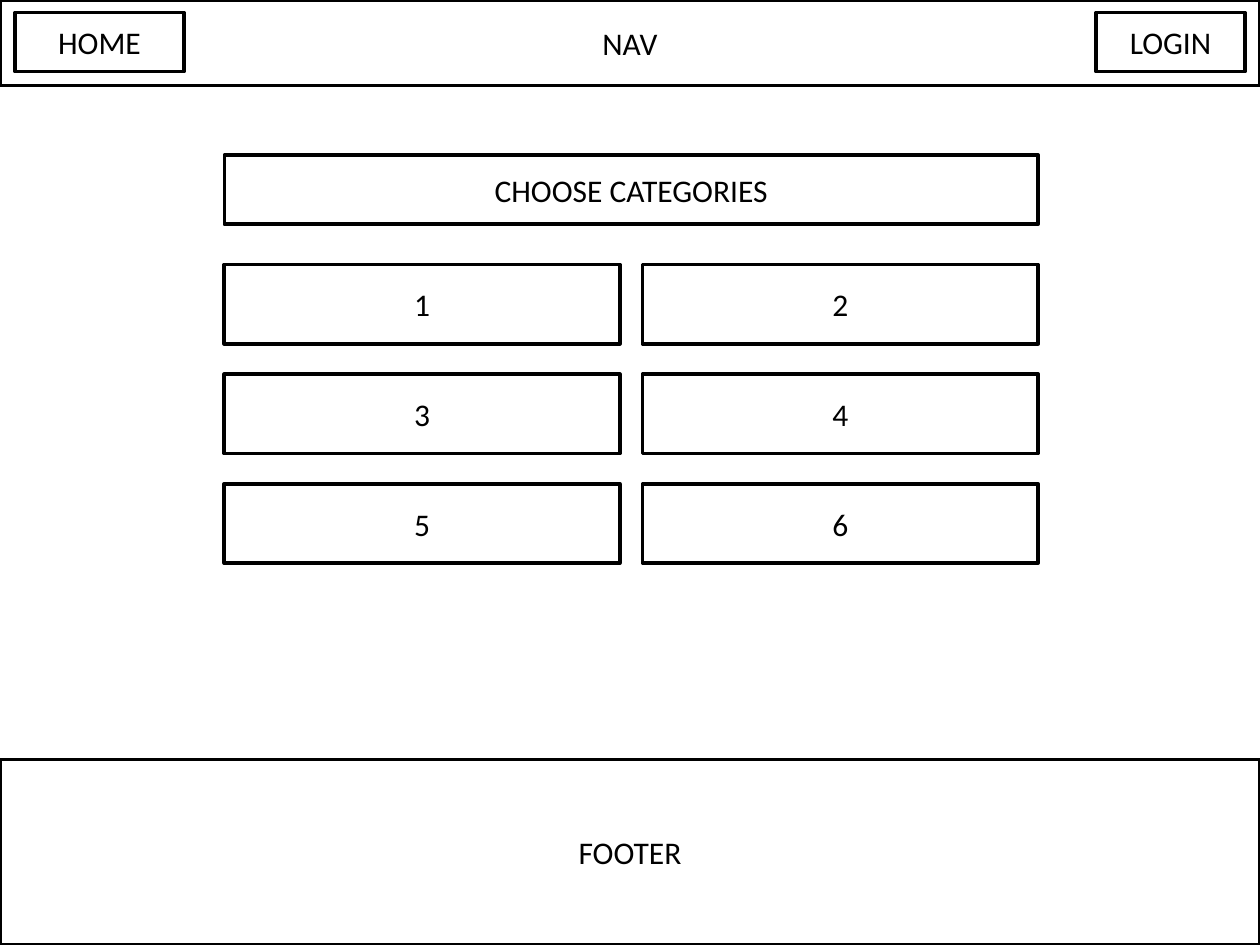
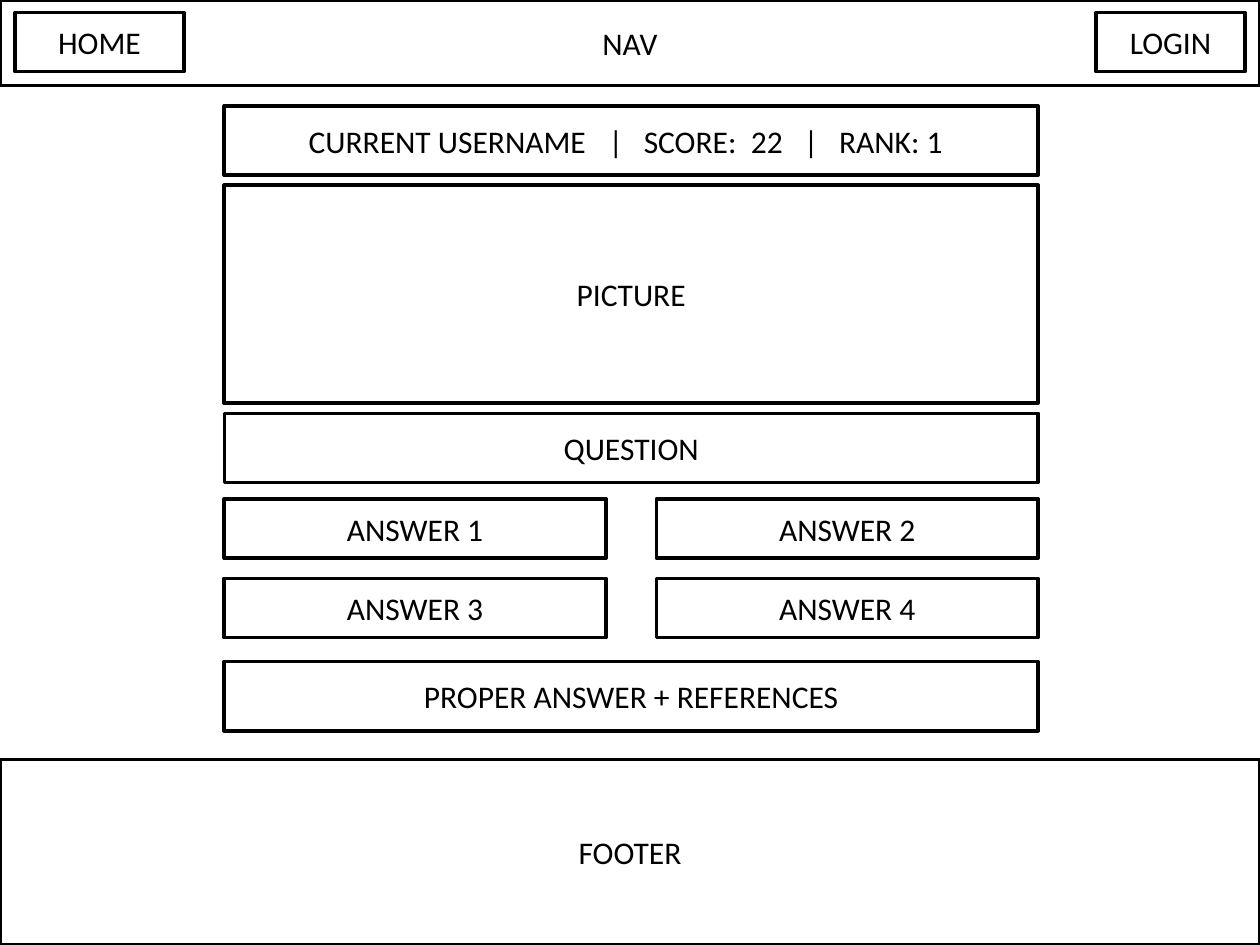
from pptx import Presentation
from pptx.dml.color import RGBColor
from pptx.enum.shapes import MSO_SHAPE
from pptx.enum.text import MSO_ANCHOR, PP_ALIGN
from pptx.oxml.ns import qn
from lxml.etree import SubElement
from pptx.util import Inches, Pt

BLACK = "000000"
WHITE = "FFFFFF"
FONT = "Calibri"
CONTENT_LEFT = 1.78
CONTENT_WIDTH = 6.46
BAR_HEIGHT = 0.55


def add_box(slide, text, left, top, width, height, *, as_title=False,
            align=PP_ALIGN.CENTER, margin_left=0.1, tabs=(), fill=WHITE, color=BLACK):
    """Draw an outlined box with text; tabs are inches from the left text margin."""
    if as_title:
        shape = slide.shapes.title
        shape.left, shape.top = Inches(left), Inches(top)
        shape.width, shape.height = Inches(width), Inches(height)
    else:
        shape = slide.shapes.add_shape(MSO_SHAPE.RECTANGLE, Inches(left), Inches(top),
                                       Inches(width), Inches(height))
        shape.shadow.inherit = False
    shape.fill.solid()
    shape.fill.fore_color.rgb = RGBColor.from_string(fill)
    shape.line.color.rgb = RGBColor.from_string(color)
    shape.line.width = Pt(2)

    frame = shape.text_frame
    frame.word_wrap = True
    frame.vertical_anchor = MSO_ANCHOR.MIDDLE
    frame.margin_left = Inches(margin_left)
    paragraph = frame.paragraphs[0]
    paragraph.alignment = align
    if tabs:
        tab_list = SubElement(paragraph._p.get_or_add_pPr(), qn("a:tabLst"))
        for position in tabs:
            SubElement(tab_list, qn("a:tab"), pos=str(Inches(position)), algn="l")
    run = paragraph.add_run()
    run.text = text
    run.font.name = FONT
    run.font.size = Pt(18)
    run.font.color.rgb = RGBColor.from_string(color)


def add_button_grid(slide, labels, top, width, height, row_pitch):
    """Place buttons in two columns that span the content width."""
    for index, label in enumerate(labels):
        row, column = divmod(index, 2)
        left = CONTENT_LEFT + column * (CONTENT_WIDTH - width)
        add_box(slide, label, left, top + row * row_pitch, width, height)


presentation = Presentation()
presentation.slide_width = Inches(10)
presentation.slide_height = Inches(7.5)
title_only = presentation.slide_layouts[5]

# Navigation and footer shared by both pages
pages = [presentation.slides.add_slide(title_only) for _ in range(2)]
for page in pages:
    add_box(page, "NAV", 0, 0, 10, 0.68)
    add_box(page, "LOGIN", 8.7, 0.1, 1.18, 0.47)
    add_box(page, "HOME", 0.12, 0.1, 1.34, 0.47)
    add_box(page, "FOOTER", 0, 6.03, 10, 1.47)
categories_page, question_page = pages

# Category choice
add_box(categories_page, "CHOOSE CATEGORIES", CONTENT_LEFT, 1.23, CONTENT_WIDTH,
        BAR_HEIGHT, as_title=True)
add_button_grid(categories_page, [str(number) for number in range(1, 7)],
                top=2.1, width=3.14, height=0.63, row_pitch=0.87)

# Question with its answers
add_box(question_page, "CURRENT USERNAME\t|\tSCORE:\t22\t|\tRANK: 1",
        CONTENT_LEFT, 0.84, CONTENT_WIDTH, BAR_HEIGHT, align=PP_ALIGN.LEFT,
        margin_left=0.67, tabs=(2.38, 2.66, 3.51, 3.93, 4.21))
add_box(question_page, "PICTURE", CONTENT_LEFT, 1.47, CONTENT_WIDTH, 1.73)
add_box(question_page, "QUESTION", CONTENT_LEFT, 3.28, CONTENT_WIDTH, BAR_HEIGHT,
        as_title=True)
add_button_grid(question_page, [f"ANSWER {number}" for number in range(1, 5)],
                top=3.96, width=3.03, height=0.47, row_pitch=0.63)
add_box(question_page, "PROPER ANSWER + REFERENCES", CONTENT_LEFT, 5.25,
        CONTENT_WIDTH, BAR_HEIGHT)

presentation.save("out.pptx")
